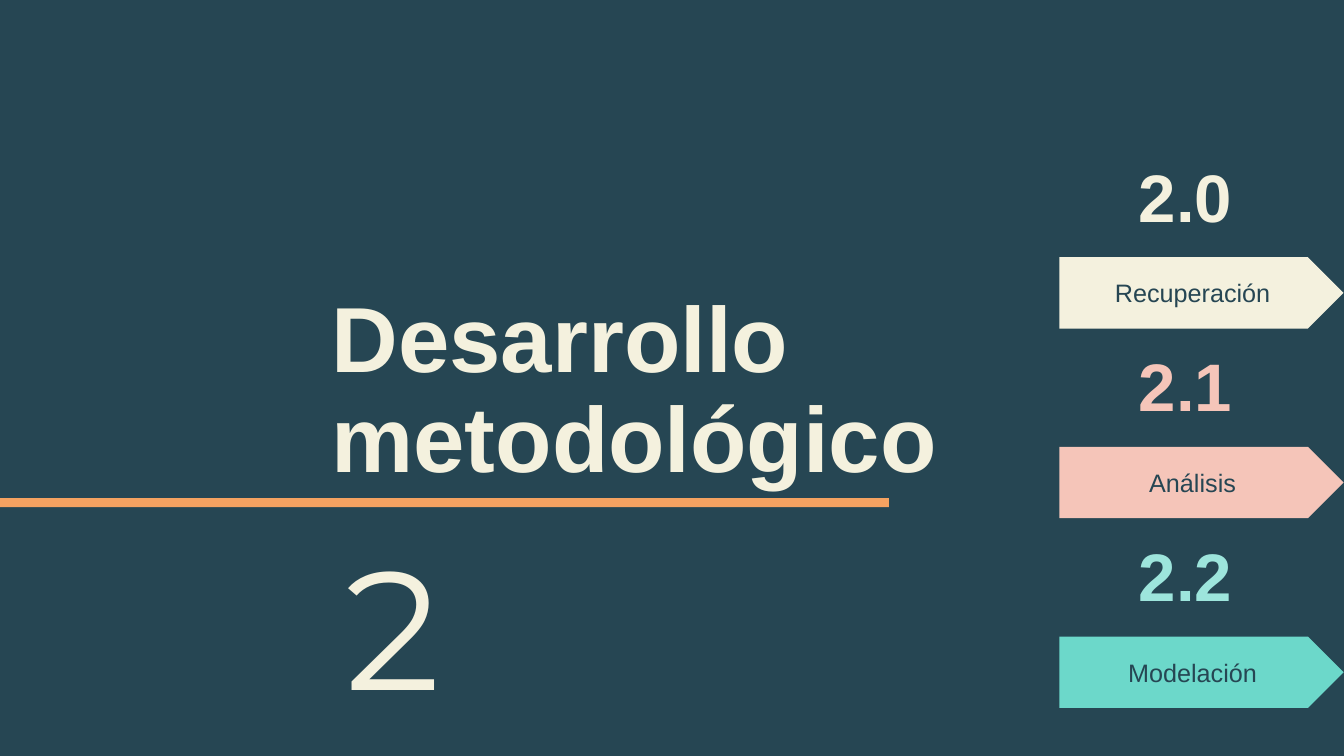
from dataclasses import dataclass

from pptx import Presentation
from pptx.dml.color import RGBColor as Rgb
from pptx.enum.shapes import MSO_SHAPE as Kind
from pptx.enum.text import MSO_ANCHOR as Anchor, MSO_AUTO_SIZE as Fit, PP_ALIGN as Align
from pptx.util import Cm, Pt


@dataclass(frozen=True)
class Theme:
    navy: str = "264653"
    cream: str = "F4F1DE"
    orange: str = "F4A261"
    pink: str = "F5C5B9"
    teal: str = "6CD8CA"
    mint: str = "9DE5DC"
    font: str = "Arial"
    light: str = "Montserrat"
    huge: int = 120
    head: int = 66
    large: int = 48
    label: int = 18


THEME = Theme()


def write(shape, text, size, color, font=THEME.font, bold=False,
          align=Align.LEFT, anchor=Anchor.TOP, wrap=True):
    frame = shape.text_frame
    frame.text = text
    frame.word_wrap = wrap
    frame.auto_size = Fit.NONE
    frame.vertical_anchor = anchor
    para = frame.paragraphs[0]
    para.alignment = align
    face = para.runs[0].font
    face.name, face.size, face.bold = font, Pt(size), bold
    face.color.rgb = Rgb.from_string(color)
    return para


def place(shape, left, top, width, height):
    shape.left, shape.top = Cm(left), Cm(top)
    shape.width, shape.height = Cm(width), Cm(height)


def block(slide, kind, box, color):
    shape = slide.shapes.add_shape(kind, *map(Cm, box))
    shape.shadow.inherit = False
    shape.fill.solid()
    shape.fill.fore_color.rgb = Rgb.from_string(color)
    shape.line.fill.background()
    return shape


def heading(slide, left, top, number, name):
    # Section name above the rule
    sub = slide.placeholders[1]
    place(sub, left, top, 21.46, 5.41)
    para = write(sub, name, THEME.head, THEME.cream, bold=True)
    para.line_spacing, para.space_before = 0.9, Pt(10)

    # Rule from the slide's edge
    block(slide, Kind.RECTANGLE, (0, top + 5.31, 22.4, 0.23), THEME.orange)

    # Section number below the rule
    title = slide.shapes.title
    place(title, left + 0.36, top + 4.57, 8.46, 6.63)
    para = write(title, number, THEME.huge, THEME.cream, THEME.light,
                 anchor=Anchor.BOTTOM)
    para.line_spacing = 0.9


def step(slide, left, top, number, name, tint, fill):
    # Step number
    box = slide.shapes.add_textbox(Cm(left + 1.75), Cm(top), Cm(3.66), Cm(2.31))
    write(box, number, THEME.large, tint, bold=True)

    # Arrow with the step's name
    arrow = block(slide, Kind.PENTAGON, (left, top + 2.7, 7.16, 1.8), fill)
    write(arrow, name, THEME.label, THEME.navy, align=Align.CENTER,
          anchor=Anchor.MIDDLE)


def steps(slide, left, top, pitch, items):
    for row, item in enumerate(items):
        step(slide, left, top + row * pitch, *item)


def main():
    deck = Presentation()
    deck.slide_width, deck.slide_height = Cm(33.87), Cm(19.05)
    slide = deck.slides.add_slide(deck.slide_layouts[0])
    back = slide.background.fill
    back.solid()
    back.fore_color.rgb = Rgb.from_string(THEME.navy)

    heading(slide, 8.1, 7.24, "2", "Desarrollo metodológico")
    steps(slide, 26.7, 3.78, 4.78, [
        ("2.0", "Recuperación", THEME.cream, THEME.cream),
        ("2.1", "Análisis", THEME.pink, THEME.pink),
        ("2.2", "Modelación", THEME.mint, THEME.teal),
    ])
    deck.save("out.pptx")


if __name__ == "__main__":
    main()
